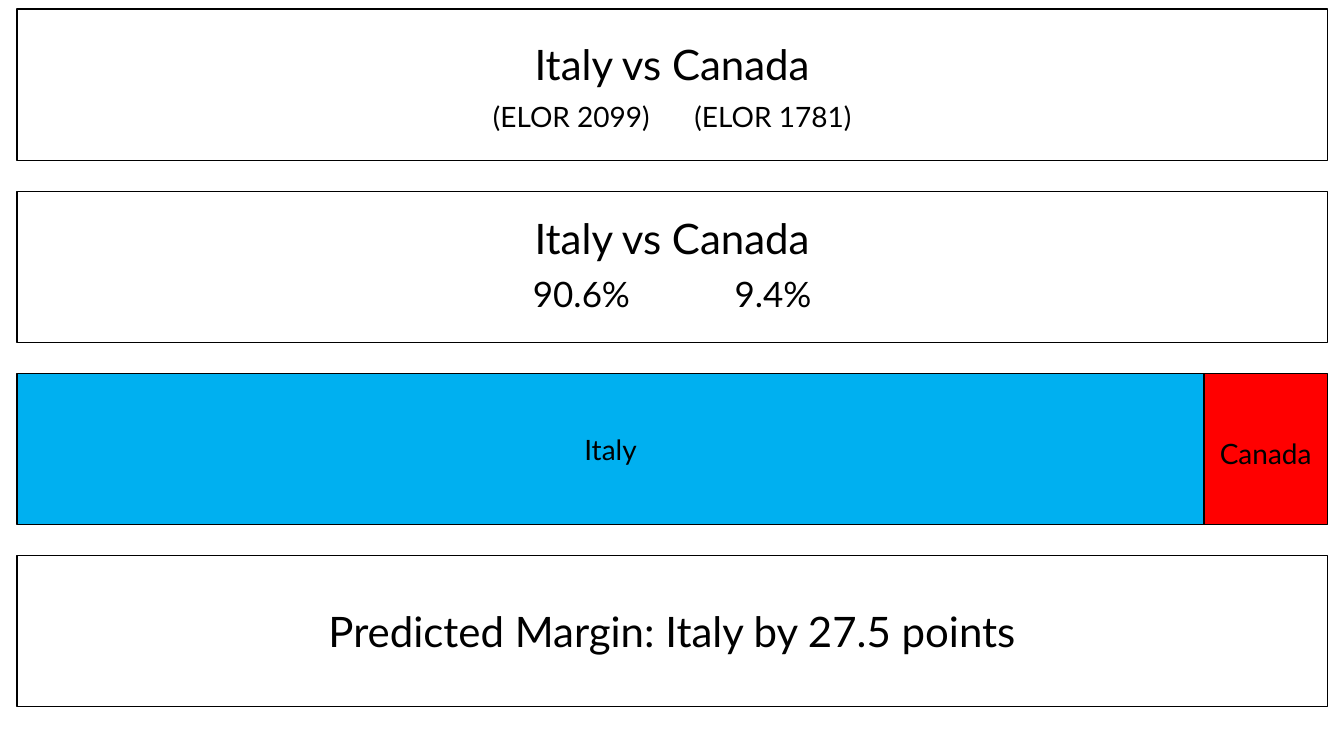
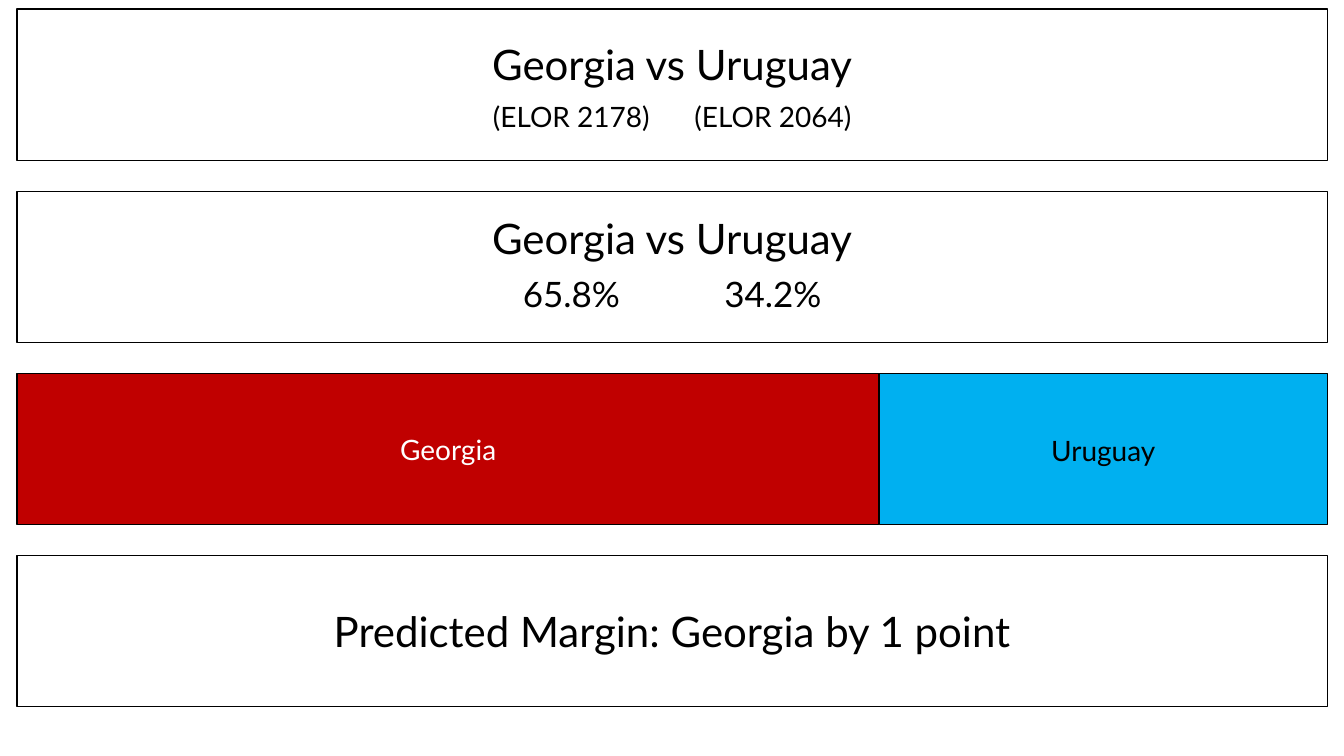
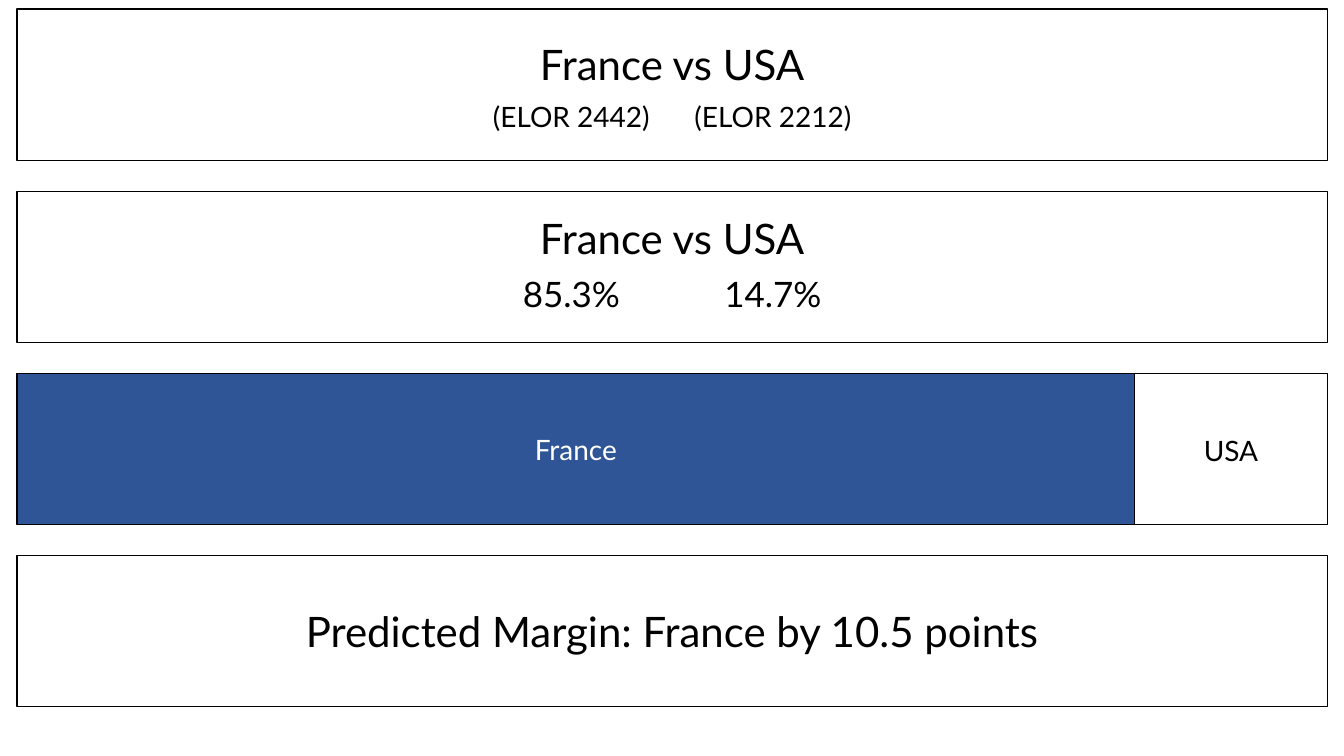
"""Build three match prediction slides, each with four bands."""
from dataclasses import dataclass

from pptx import Presentation
from pptx.dml.color import RGBColor
from pptx.enum.shapes import MSO_SHAPE
from pptx.enum.text import MSO_ANCHOR, MSO_AUTO_SIZE, PP_ALIGN
from pptx.oxml.ns import qn
from pptx.util import Cm, Pt
from lxml.etree import SubElement

MATCHES = [
    dict(home="Italy", away="Canada", ratings=(2099, 1781), home_share=90.6,
         margin="27.5 points", fills=("00B0F0", "FF0000"),
         inks=("000000", "000000"), label_tops=(1.36, 1.47)),
    dict(home="Georgia", away="Uruguay", ratings=(2178, 2064), home_share=65.8,
         margin="1 point", fills=("C00000", "00B0F0"),
         inks=("FFFFFF", "000000"), label_tops=(1.36, 1.4)),
    dict(home="France", away="USA", ratings=(2442, 2212), home_share=85.3,
         margin="10.5 points", fills=("2F5597", "FFFFFF"),
         inks=("FFFFFF", "000000"), label_tops=(1.36, 1.4)),
]


@dataclass(frozen=True)
class Theme:
    font: str = "Lato"
    ink: str = "000000"
    heading: int = 30
    percent: int = 25
    label: int = 20
    line: float = 1


THEME = Theme()
LEFT, WIDTH, HEIGHT = 0.43, 33.02, 3.81
FIRST_TOP, STEP = 0.23, 4.59
RATING_TOP, CHANCE_TOP, BAR_TOP, MARGIN_TOP = (
    FIRST_TOP + STEP * row for row in range(4))
TEXT_HEIGHTS = {THEME.heading: 1.55, THEME.percent: 1.32, THEME.label: 1.12}
TAB_STOP = 5.08


def add_band(page, top, left=LEFT, width=WIDTH, fill=None):
    band = page.shapes.add_shape(
        MSO_SHAPE.RECTANGLE, Cm(left), Cm(top), Cm(width), Cm(HEIGHT))
    band.shadow.inherit = False
    if fill:
        band.fill.solid()
        band.fill.fore_color.rgb = RGBColor.from_string(fill)
    else:
        band.fill.background()
    band.line.color.rgb = RGBColor.from_string(THEME.ink)
    band.line.width = Pt(THEME.line)


def add_text(page, text, top, left=LEFT, width=WIDTH, size=THEME.heading,
             color=THEME.ink, box=None):
    if box is None:
        box = page.shapes.add_textbox(0, 0, 0, 0)
    box.left, box.top = Cm(left), Cm(top)
    box.width, box.height = Cm(width), Cm(TEXT_HEIGHTS[size])
    frame = box.text_frame
    frame.word_wrap = True
    frame.auto_size = MSO_AUTO_SIZE.SHAPE_TO_FIT_TEXT
    frame.vertical_anchor = MSO_ANCHOR.TOP
    para = frame.paragraphs[0]
    para.alignment = PP_ALIGN.CENTER
    if "\t" in text:
        stops = SubElement(para._p.get_or_add_pPr(), qn("a:tabLst"))
        SubElement(stops, qn("a:tab"), pos=str(Cm(TAB_STOP)), algn="l")
    span = para.add_run()
    span.text = text
    span.font.name = THEME.font
    span.font.size = Pt(size)
    span.font.color.rgb = RGBColor.from_string(color)


def add_share_bar(page, match):
    home_width = WIDTH * match["home_share"] / 100
    segments = [(LEFT, home_width), (LEFT + home_width, WIDTH - home_width)]
    for (left, width), fill in zip(segments, match["fills"]):
        add_band(page, BAR_TOP, left, width, fill)
    names = (match["home"], match["away"])
    for name, (left, width), color, label_top in zip(
            names, segments, match["inks"], match["label_tops"]):
        add_text(page, name, BAR_TOP + label_top, left, width,
                 size=THEME.label, color=color)


def add_match(deck, match):
    page = deck.slides.add_slide(deck.slide_layouts[5])
    heading = f"{match['home']} vs {match['away']}"
    ratings = "\t".join(f"(ELOR {rating})" for rating in match["ratings"])
    share = match["home_share"]
    for top in (RATING_TOP, CHANCE_TOP, MARGIN_TOP):
        add_band(page, top)
    add_text(page, heading, RATING_TOP + 0.61, box=page.shapes.title)
    add_text(page, ratings, RATING_TOP + 2.16, size=THEME.label)
    add_text(page, heading, CHANCE_TOP + 0.41)
    add_text(page, f"{share:.1f}%\t{100 - share:.1f}%", CHANCE_TOP + 1.91,
             size=THEME.percent)
    add_share_bar(page, match)
    add_text(page, f"Predicted Margin: {match['home']} by {match['margin']}",
             MARGIN_TOP + 1.14)


def main():
    deck = Presentation()
    deck.slide_width, deck.slide_height = Cm(33.87), Cm(19.05)
    for match in MATCHES:
        add_match(deck, match)
    deck.save("out.pptx")


if __name__ == "__main__":
    main()
